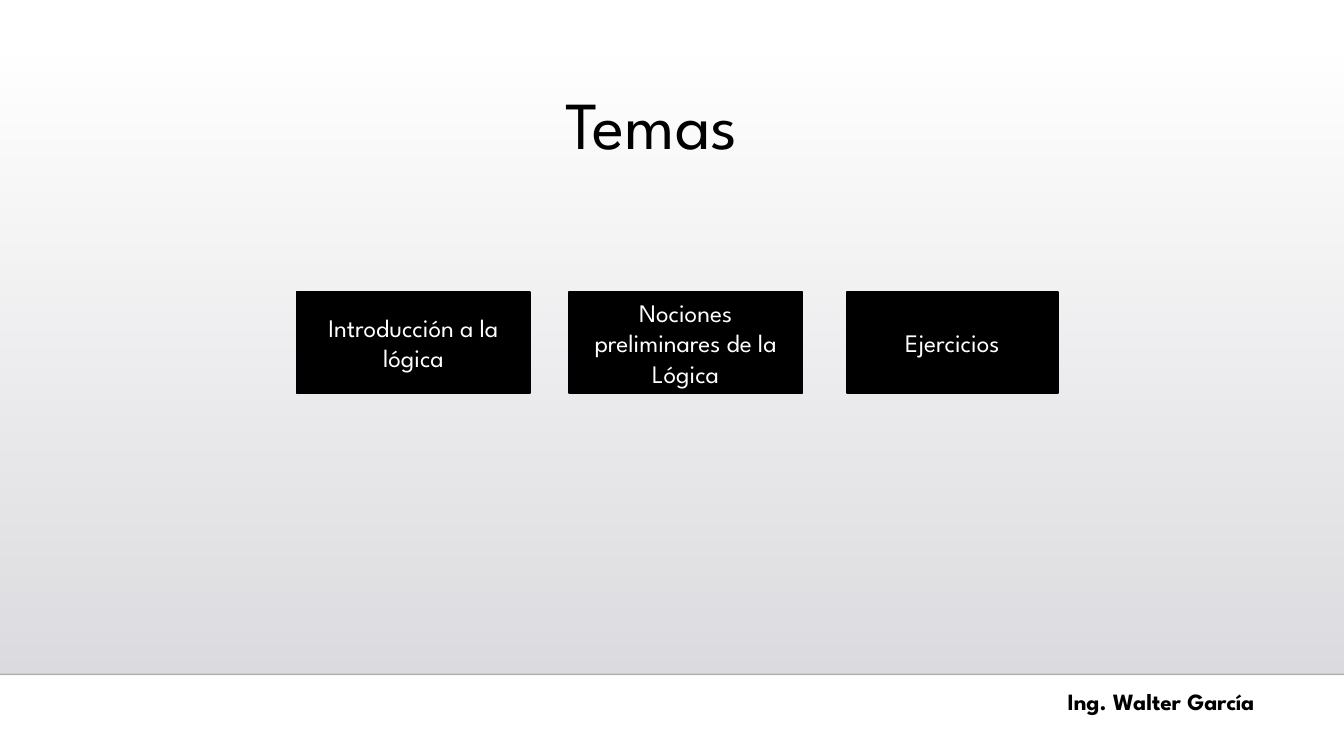
from lxml.etree import SubElement
from pptx import Presentation
from pptx.dml.color import RGBColor
from pptx.enum.shapes import MSO_CONNECTOR, MSO_SHAPE
from pptx.enum.text import MSO_ANCHOR, PP_ALIGN
from pptx.oxml.ns import qn
from pptx.util import Inches, Pt

BLACK = RGBColor(0x00, 0x00, 0x00)
WHITE = RGBColor(0xFF, 0xFF, 0xFF)
PALE = RGBColor(0xDC, 0xDC, 0xE0)
MIST = RGBColor(0xDE, 0xDE, 0xE2)


class Deck:
    font = "League Spartan"

    def __init__(self, wide, high):
        self.show = Presentation()
        self.show.slide_width = Inches(wide)
        self.show.slide_height = Inches(high)
        self.slide = self.show.slides.add_slide(self.show.slide_layouts[6])
        fill = self.slide.background.fill
        fill.solid()
        fill.fore_color.rgb = WHITE

    def fade(self, color, share):
        SubElement(color, qn("a:alpha"), val=str(share * 1000))

    def rect(self, *area):
        shape = self.slide.shapes.add_shape(
            MSO_SHAPE.RECTANGLE, *map(Inches, area))
        shape.shadow.inherit = False
        return shape

    def band(self, *area):
        shape = self.rect(*area)
        shape.line.fill.background()
        shape.fill.gradient()
        shape.fill.gradient_angle = 270
        for stop, color in zip(shape.fill.gradient_stops, (PALE, MIST)):
            stop.color.rgb = color
        first = shape._element.spPr.find(".//" + qn("a:srgbClr"))
        self.fade(first, 0)

    def rule(self, left, right, top):
        line = self.slide.shapes.add_connector(
            MSO_CONNECTOR.STRAIGHT, *map(Inches, (left, top, right, top)))
        line.line.width = Pt(1)
        line.line.color.rgb = BLACK
        props = line._element.spPr
        self.fade(props.find(".//" + qn("a:srgbClr")), 20)
        SubElement(props, qn("a:effectLst"))

    def label(self, shape, text, size, color, align, bold=False, lead=1.0):
        frame = shape.text_frame
        frame.word_wrap = True
        para = frame.paragraphs[0]
        para.text = text
        para.alignment = align
        para.line_spacing = lead
        para.font.name = self.font
        para.font.size = Pt(size)
        para.font.bold = bold
        para.font.color.rgb = color
        return frame

    def text(self, area, text, size, align, bold=False, lead=1.0):
        box = self.slide.shapes.add_textbox(*map(Inches, area))
        return self.label(box, text, size, BLACK, align, bold, lead)

    def card(self, area, text):
        shape = self.rect(*area)
        shape.fill.solid()
        shape.fill.fore_color.rgb = BLACK
        shape.line.color.rgb = BLACK
        shape.line.width = Pt(1.25)
        frame = self.label(shape, text, 18, WHITE, PP_ALIGN.CENTER)
        frame.vertical_anchor = MSO_ANCHOR.MIDDLE


def main():
    deck = Deck(13.33, 7.5)
    deck.band(0, 0.51, 13.33, 6.18)
    deck.rule(0, 13.33, 6.69)

    title = deck.text((2.43, 0.71, 8.06, 0.92), "Temas", 48,
                      PP_ALIGN.CENTER, lead=0.9)
    title.vertical_anchor = MSO_ANCHOR.BOTTOM
    title.margin_bottom = 0

    topics = (
        (2.94, 2.32, "Introducción a la lógica"),
        (5.64, 2.32, "Nociones preliminares de la Lógica"),
        (8.4, 2.09, "Ejercicios"),
    )
    for left, width, topic in topics:
        deck.card((left, 2.9, width, 1), topic)

    author = deck.text((10.49, 6.66, 2.37, 0.51), "Ing. Walter García", 16.6,
                       PP_ALIGN.LEFT, bold=True, lead=1.2)
    author.margin_top = author.margin_bottom = Inches(0.1)

    deck.show.save("out.pptx")


if __name__ == "__main__":
    main()
